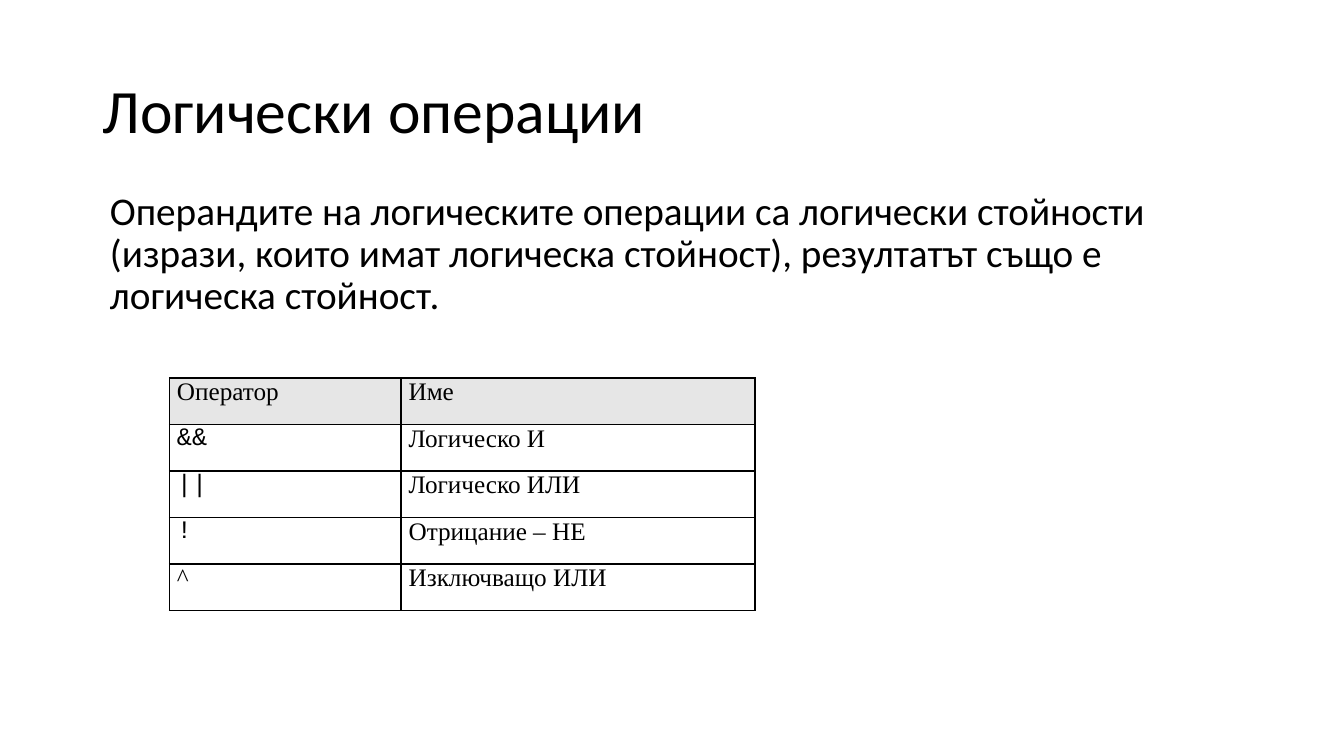
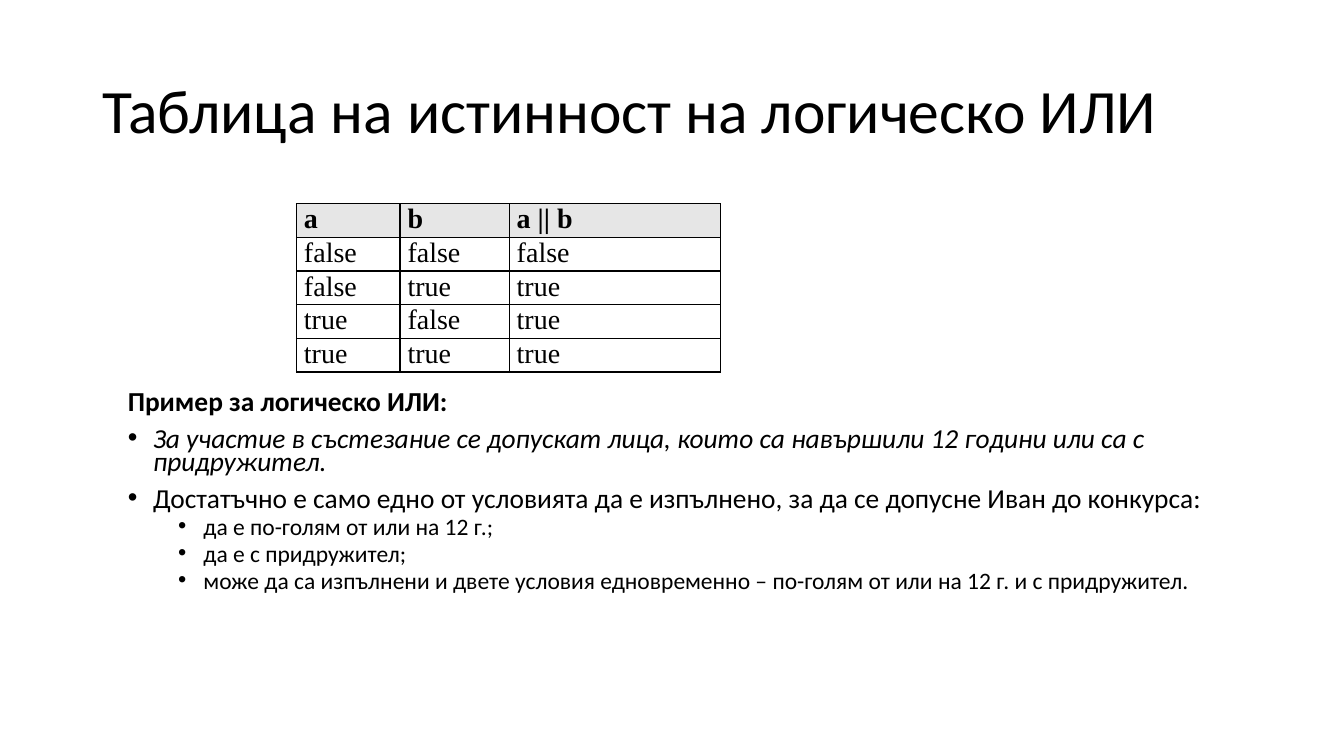
from lxml.etree import SubElement as Sub
from pptx import Presentation
from pptx.dml.color import RGBColor as RGB
from pptx.enum.text import MSO_ANCHOR as Anchor, MSO_AUTO_SIZE as Fit, PP_ALIGN as Align
from pptx.oxml.ns import qn
from pptx.util import Pt

HUES = {"ink": "000000", "head": "E6E6E6"}
SANS, SERIF, MONO = "Calibri", "Times New Roman", "Courier New"


def write(frame, text, size=18, font=SANS, bold=False, italic=False, align=Align.LEFT,
          line=1.0, before=0, level=0, bullet=False):
    first = not frame.paragraphs[0].runs
    para = frame.paragraphs[0] if first else frame.add_paragraph()
    para.level = level
    if bullet:
        props = para._p.get_or_add_pPr()
        props.set("marL", str(Pt(18 + 36 * level)))
        props.set("indent", str(Pt(-18)))
        Sub(props, qn("a:buFont")).set("typeface", "Arial")
        Sub(props, qn("a:buChar")).set("char", "•")
    para.alignment = align
    para.line_spacing = line
    para.space_before = Pt(0 if first else before)
    run = para.add_run()
    run.text = text
    face = run.font
    face.name, face.size, face.bold, face.italic = font, Pt(size), bold, italic
    face.color.rgb = RGB.from_string(HUES["ink"])


def start(deck, title):
    slide = deck.slides.add_slide(deck.slide_layouts[5])
    head = slide.shapes.title
    head.left, head.top, head.width, head.height = Pt(66), Pt(28.75), Pt(828), Pt(104.4)
    frame = head.text_frame
    frame.auto_size = Fit.NONE
    frame.word_wrap = True
    frame.vertical_anchor = Anchor.MIDDLE
    write(frame, title, size=44, line=0.9)
    return slide


def body(slide, left, top, high):
    box = slide.shapes.add_textbox(Pt(left), Pt(top), Pt(828), Pt(high))
    box.text_frame.word_wrap = True
    return box.text_frame


def border(cell):
    props = cell._tc.get_or_add_tcPr()
    for side in ("lnL", "lnR", "lnT", "lnB"):
        edge = Sub(props, qn(f"a:{side}"), w=str(Pt(1)))
        fill = Sub(edge, qn("a:solidFill"))
        Sub(fill, qn("a:srgbClr"), val=HUES["ink"])


def grid(slide, left, top, cols, high, rows, size, bold=False, codes=()):
    shape = slide.shapes.add_table(len(rows), len(cols), Pt(left), Pt(top),
                                   Pt(sum(cols)), Pt(high * len(rows)))
    table = shape.table
    table.horz_banding = False
    for col, wide in zip(table.columns, cols):
        col.width = Pt(wide)
    for r, row in enumerate(rows):
        table.rows[r].height = Pt(high)
        for c, text in enumerate(row):
            cell = table.cell(r, c)
            cell.margin_left = cell.margin_right = Pt(5.4)
            cell.margin_top = cell.margin_bottom = 0
            border(cell)
            if r == 0:
                cell.fill.solid()
                cell.fill.fore_color.rgb = RGB.from_string(HUES["head"])
            else:
                cell.fill.background()
            write(cell.text_frame, text, size=size, font=MONO if text in codes else SERIF,
                  bold=bold and r == 0, align=Align.JUSTIFY)


def logic(deck):
    slide = start(deck, "Логически операции")
    rows = [("Оператор", "Име"), ("&&", "Логическо И"), ("||", "Логическо ИЛИ"),
            ("!", "Отрицание – НЕ"), ("^", "Изключващо ИЛИ")]
    grid(slide, 121, 270, (165.5, 252.8), 33.25, rows, 18, codes=("&&", "||", "!"))
    write(body(slide, 71.5, 133.2, 124),
          "Операндите на логическите операции са логически стойности (изрази, които имат "
          "логическа стойност), резултатът също е логическа стойност.", size=28, line=0.9)


def truth(deck):
    slide = start(deck, "Таблица на истинност на логическо ИЛИ")
    frame = body(slide, 84.25, 277.2, 187)
    main_fmt = dict(size=19.6, line=0.7, before=10)
    sub_fmt = dict(size=16.8, line=0.7, before=5, level=1, bullet=True)
    write(frame, "Пример за логическо ИЛИ:", bold=True, **main_fmt)
    write(frame, "За участие в състезание се допускат лица, които са навършили 12 години "
          "или са с придружител.", italic=True, bullet=True, **main_fmt)
    write(frame, "Достатъчно е само едно от условията да е изпълнено, за да се допусне "
          "Иван до конкурса:", bullet=True, **main_fmt)
    for text in ("да е по-голям от или на 12 г.;", "да е с придружител;",
                 "може да са изпълнени и двете условия едновременно – "
                 "по-голям от или на 12 г. и с придружител."):
        write(frame, text, **sub_fmt)
    bits = (False, True)
    rows = [("a", "b", "a || b")]
    rows += [[str(v).lower() for v in (a, b, a or b)] for a in bits for b in bits]
    grid(slide, 211.75, 145.5, (74, 78, 151), 22, rows, 20, bold=True)


def main():
    deck = Presentation()
    deck.slide_width, deck.slide_height = Pt(960), Pt(540)
    logic(deck)
    truth(deck)
    deck.save("out.pptx")


if __name__ == "__main__":
    main()
